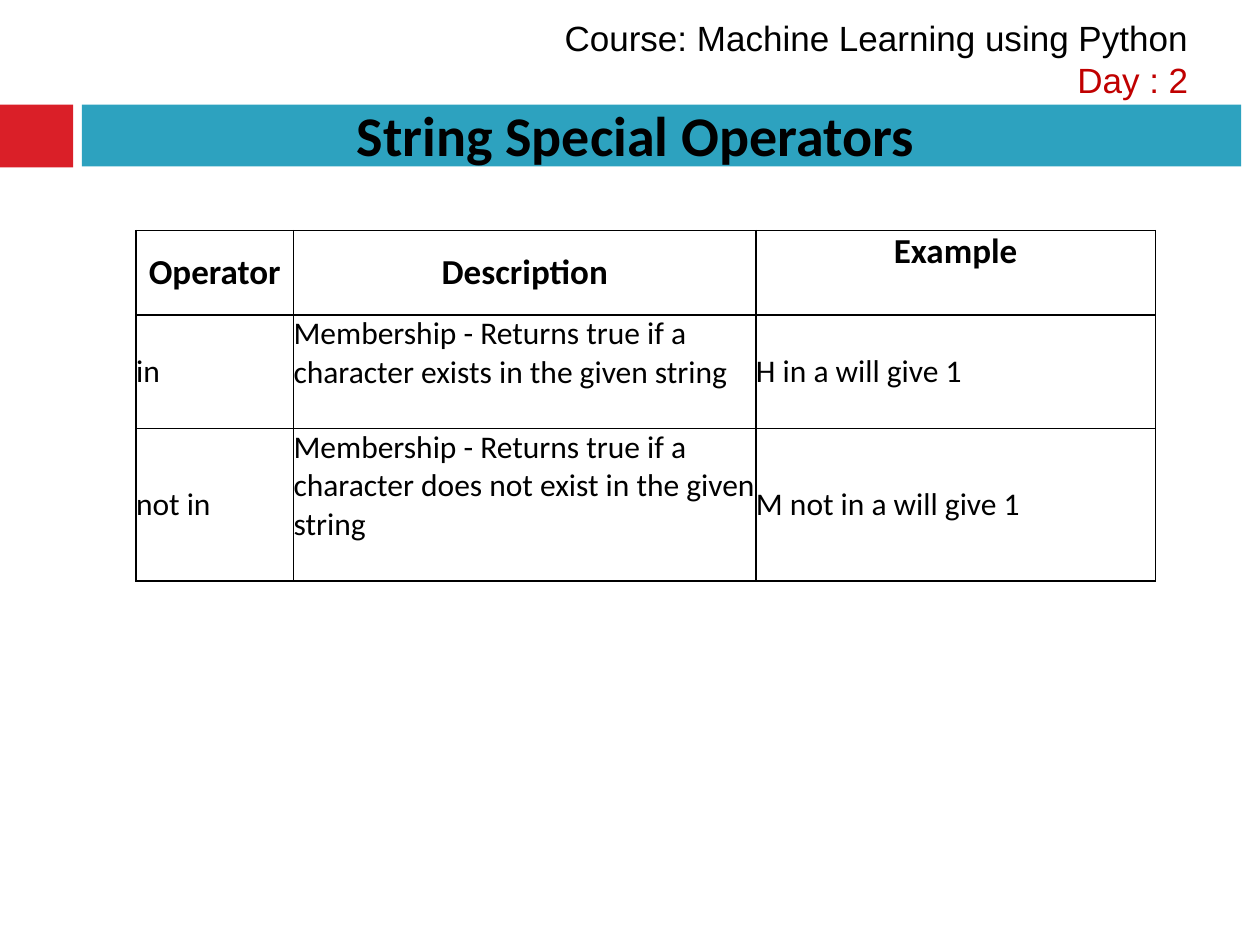
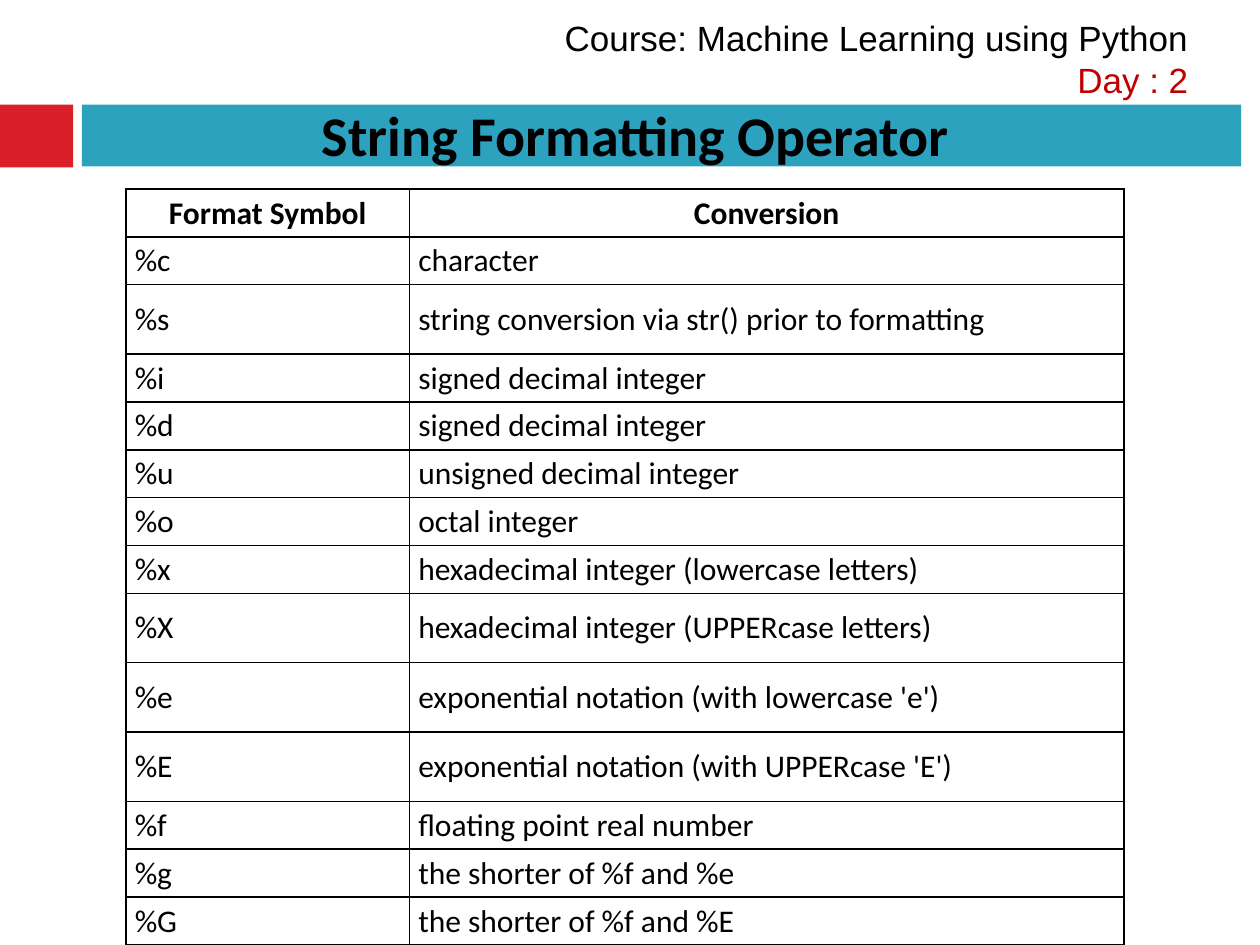
from dataclasses import dataclass

from pptx import Presentation
from pptx import util as u
from pptx.dml.color import RGBColor
from pptx.enum import shapes, text
from pptx.oxml import parse_xml
from pptx.oxml.ns import nsdecls


@dataclass(frozen=True)
class Theme:
    red: str = "DA1F28"
    teal: str = "2DA2BF"
    ink: str = "000000"
    day: str = "C00000"
    course_font: str = "Arial"
    body_font: str = "Calibri"
    title_size: int = 32
    large_size: int = 20
    body_size: int = 18


theme = Theme()
LEFT, CENTER, RIGHT = text.PP_ALIGN.LEFT, text.PP_ALIGN.CENTER, text.PP_ALIGN.RIGHT
TOP, MIDDLE = text.MSO_ANCHOR.TOP, text.MSO_ANCHOR.MIDDLE


def write_text(paragraph, words, size=theme.body_size, font=theme.body_font,
               color=theme.ink, bold=False, align=LEFT):
    paragraph.alignment = align
    run = paragraph.add_run()
    run.text = words
    run.font.size = u.Pt(size)
    run.font.name = font
    run.font.bold = bold
    run.font.color.rgb = RGBColor.from_string(color)


def add_border(cell, width=1):
    properties = cell._tc.get_or_add_tcPr()
    for side in ("lnL", "lnR", "lnT", "lnB"):
        properties.append(parse_xml(
            f'<a:{side} {nsdecls("a")} w="{u.Pt(width)}"><a:solidFill>'
            f'<a:srgbClr val="{theme.ink}"/></a:solidFill></a:{side}>'))


bands = [
    (0, 0.83, 0.58, 0.5, theme.red),
    (0.65, 0.83, 9.2, 0.49, theme.teal),
]

short, tall = 0.37, 0.55
lessons = [
    {
        "title": "String Special Operators",
        "position": (1.08, 1.83),
        "columns": [1.25, 3.67, 3.17],
        "heights": [0.67, 0.9, 1.21],
        "margins": (0, 0),
        "header_size": theme.large_size,
        "top_cells": {(0, 2), (1, 1), (2, 1)},
        "rows": [
            ("Operator", "Description", "Example"),
            ("in",
             "Membership - Returns true if a character exists in the given string",
             "H in a will give 1"),
            ("not in",
             "Membership - Returns true if a character does not exist in the given string",
             "M not in a will give 1"),
        ],
    },
    {
        "title": "String Formatting Operator",
        "position": (1, 1.5),
        "columns": [2.25, 5.67],
        "heights": [short] * 2 + [tall] + [short] * 5 + [tall] * 3 + [short] * 3,
        "margins": (0.07, 0.04),
        "header_size": theme.body_size,
        "top_cells": set(),
        "rows": [
            ("Format Symbol", "Conversion"),
            ("%c", "character"),
            ("%s", "string conversion via str() prior to formatting"),
            ("%i", "signed decimal integer"),
            ("%d", "signed decimal integer"),
            ("%u", "unsigned decimal integer"),
            ("%o", "octal integer"),
            ("%x", "hexadecimal integer (lowercase letters)"),
            ("%X", "hexadecimal integer (UPPERcase letters)"),
            ("%e", "exponential notation (with lowercase 'e')"),
            ("%E", "exponential notation (with UPPERcase 'E')"),
            ("%f", "floating point real number"),
            ("%g", "the shorter of %f and %e"),
            ("%G", "the shorter of %f and %E"),
        ],
    },
]

presentation = Presentation()
presentation.slide_width = u.Inches(10)
presentation.slide_height = u.Inches(7.5)

for lesson in lessons:
    slide = presentation.slides.add_slide(presentation.slide_layouts[6])

    for *box, color in bands:
        band = slide.shapes.add_shape(shapes.MSO_SHAPE.RECTANGLE, *map(u.Inches, box))
        band.shadow.inherit = False
        band.fill.solid()
        band.fill.fore_color.rgb = RGBColor.from_string(color)
        band.line.fill.background()

    course = slide.shapes.add_textbox(*map(u.Inches, (4.17, 0.08, 5.36, 0.77))).text_frame
    course.word_wrap = True
    write_text(course.paragraphs[0], "Course: Machine Learning using Python",
               size=theme.large_size, font=theme.course_font, align=RIGHT)
    write_text(course.add_paragraph(), "Day : 2", size=theme.large_size,
               font=theme.course_font, color=theme.day, align=RIGHT)

    title = slide.shapes.add_textbox(*map(u.Inches, (0.42, 0.75, 9.25, 0.64))).text_frame
    title.word_wrap = True
    write_text(title.paragraphs[0], lesson["title"], size=theme.title_size,
               bold=True, align=CENTER)

    rows, columns, heights = lesson["rows"], lesson["columns"], lesson["heights"]
    table = slide.shapes.add_table(
        len(rows), len(columns), *map(u.Inches, lesson["position"]),
        u.Inches(sum(columns)), u.Inches(sum(heights))).table
    table.first_row = False
    table.horz_banding = False
    for column, width in zip(table.columns, columns):
        column.width = u.Inches(width)
    for row, height in zip(table.rows, heights):
        row.height = u.Inches(height)

    side_margin, end_margin = map(u.Inches, lesson["margins"])
    for row_index, row in enumerate(rows):
        header = row_index == 0
        for column_index, words in enumerate(row):
            cell = table.cell(row_index, column_index)
            add_border(cell)
            cell.fill.background()
            cell.margin_left = cell.margin_right = side_margin
            cell.margin_top = cell.margin_bottom = end_margin
            at_top = (row_index, column_index) in lesson["top_cells"]
            cell.vertical_anchor = TOP if at_top else MIDDLE
            write_text(cell.text_frame.paragraphs[0], words, bold=header,
                       size=lesson["header_size"] if header else theme.body_size,
                       align=CENTER if header else LEFT)

presentation.save("out.pptx")
